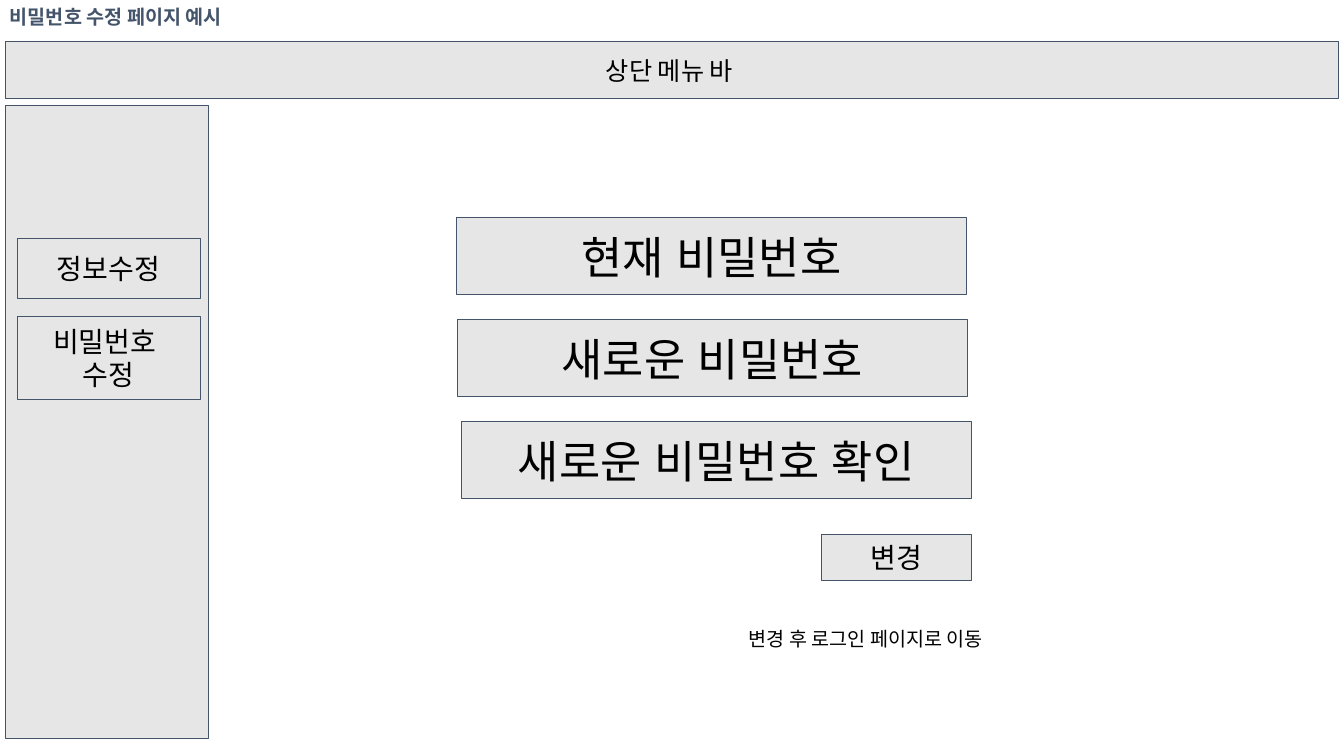
from dataclasses import dataclass

from lxml.etree import SubElement
from pptx import Presentation
from pptx.dml.color import RGBColor
from pptx.enum.shapes import MSO_SHAPE as Shape
from pptx.enum.text import MSO_ANCHOR as Anchor, MSO_AUTO_SIZE as AutoSize, PP_ALIGN as Align
from pptx.oxml.ns import qn
from pptx.util import Cm, Pt


@dataclass(frozen=True)
class Theme:
    panel: RGBColor = RGBColor.from_string("E7E6E6")
    accent: RGBColor = RGBColor.from_string("44546A")
    ink: RGBColor = RGBColor.from_string("000000")
    korean: str = "Noto Sans CJK KR"
    latin: str = "Arial"
    note: int = 14
    menu: int = 18
    button: int = 20
    field: int = 32
    outline: float = 0.75
    inset: float = 0.25


THEME = Theme()


def add_run(paragraph, text, size, font_name, color=THEME.ink, bold=False):
    run = paragraph.add_run()
    run.text = text
    run.font.size = Pt(size)
    run.font.bold = bold
    run.font.color.rgb = color
    run.font.name = font_name
    # Hangul takes its face from the East Asian font
    SubElement(run.font._element, qn("a:ea"), typeface=font_name)


def add_panel(shapes, box, lines=(), font_name=THEME.latin):
    """Outlined rectangle; each line is a list of (text, size) runs."""
    panel = shapes.add_shape(Shape.RECTANGLE, *map(Cm, box))
    panel.shadow.inherit = False
    panel.fill.solid()
    panel.fill.fore_color.rgb = THEME.panel
    panel.line.color.rgb = THEME.accent
    panel.line.width = Pt(THEME.outline)
    frame = panel.text_frame
    frame.word_wrap = True
    frame.vertical_anchor = Anchor.MIDDLE
    frame.margin_left = frame.margin_right = Cm(THEME.inset)
    frame.margin_top = frame.margin_bottom = Cm(THEME.inset)
    for index, runs in enumerate(lines):
        paragraph = frame.add_paragraph() if index else frame.paragraphs[0]
        paragraph.alignment = Align.CENTER
        for text, size in runs:
            add_run(paragraph, text, size, font_name)


def add_label(shapes, box, text, color=THEME.ink, bold=False):
    frame = shapes.add_textbox(*map(Cm, box)).text_frame
    frame.word_wrap = True
    frame.auto_size = AutoSize.SHAPE_TO_FIT_TEXT
    add_run(frame.paragraphs[0], text, THEME.note, THEME.korean, color, bold)


def add_sidebar(slide, box):
    left, top, _, _ = box
    shapes = slide.shapes.add_group_shape().shapes
    add_panel(shapes, box)
    buttons = [(3.35, 1.5, ["정보수정"]), (5.31, 2.08, ["비밀번호 ", "수정"])]
    for offset, height, lines in buttons:
        add_panel(shapes, (left + 0.3, top + offset, 4.62, height),
                  [[(line, THEME.button)] for line in lines])


def add_password_form(slide, box):
    left, top, _, _ = box
    shapes = slide.shapes
    # Input fields, evenly spaced
    fields = [("현재 비밀번호", 0), ("새로운 비밀번호", 0.02), ("새로운 비밀번호 확인", 0.12)]
    for row, (text, shift) in enumerate(fields):
        add_panel(shapes, (left + shift, top + row * 2.57, 12.85, 1.93),
                  [[(text, THEME.field)]])
    # Result note and submit button
    add_label(shapes, (left + 7.11, top + 10.18, 9.3, 0.86), "변경 후 로그인 페이지로 이동")
    add_panel(shapes, (left + 9.19, top + 7.97, 3.78, 1.17), [[("변경", THEME.button)]])


def main():
    presentation = Presentation()
    presentation.slide_width, presentation.slide_height = Cm(33.87), Cm(19.05)
    slide = presentation.slides.add_slide(presentation.slide_layouts[6])

    # Top menu bar
    add_panel(slide.shapes, (0.13, 1.04, 33.6, 1.45),
              [[("상단 메뉴 바", THEME.menu), (" ", THEME.note)]], THEME.korean)
    add_sidebar(slide, (0.13, 2.67, 5.13, 15.93))
    add_password_form(slide, (11.51, 5.49, 16.41, 11.04))
    # Page title
    add_label(slide.shapes, (0, 0, 16.03, 0.86), "비밀번호 수정 페이지 예시",
              THEME.accent, bold=True)

    presentation.save("out.pptx")


if __name__ == "__main__":
    main()
